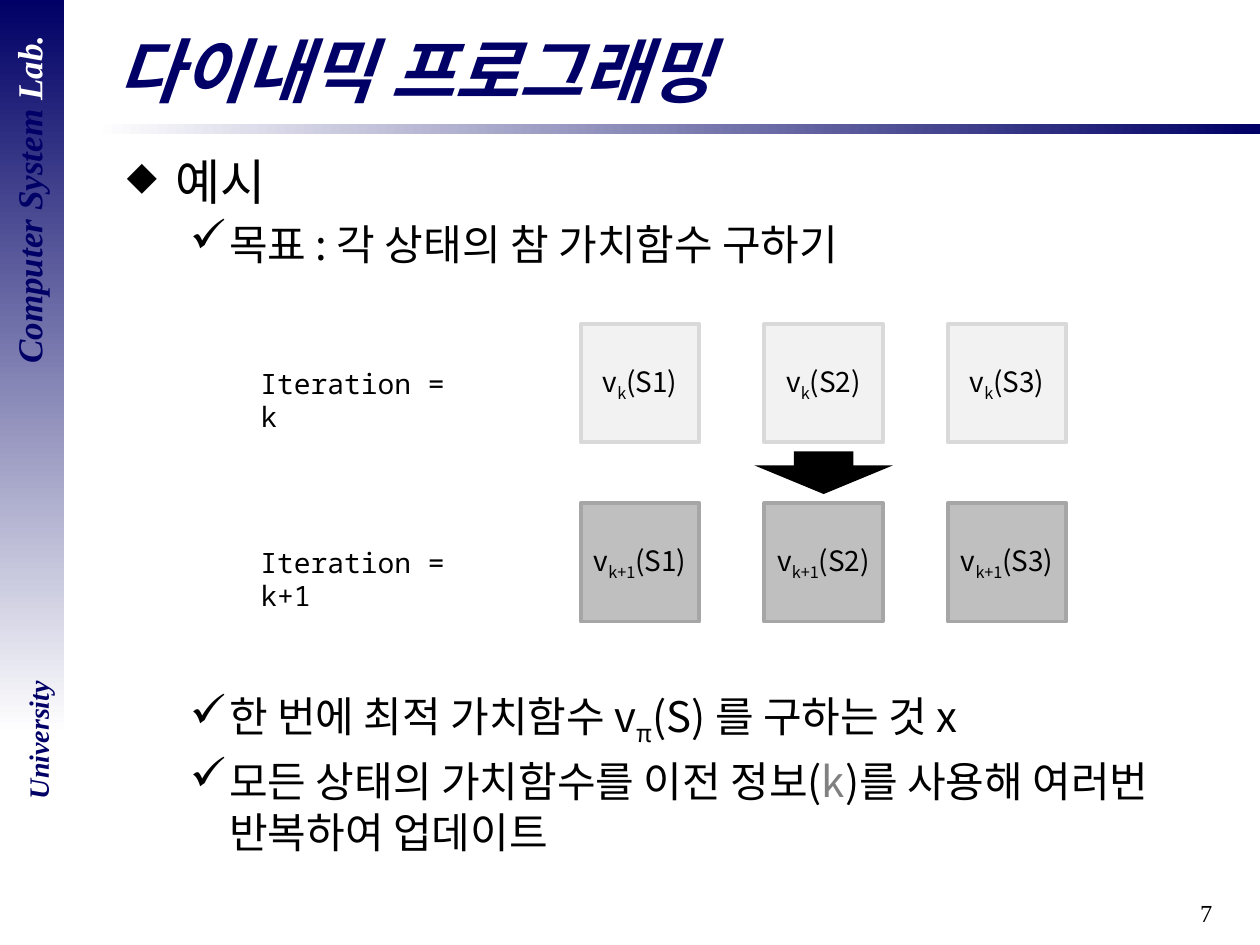
from dataclasses import dataclass

from lxml.etree import SubElement
from pptx import Presentation
from pptx.dml.color import RGBColor
from pptx.enum.shapes import MSO_SHAPE as Preset
from pptx.enum.text import MSO_ANCHOR as Anchor, PP_ALIGN as Align
from pptx.oxml.ns import qn
from pptx.util import Cm, Pt


@dataclass(frozen=True)
class Theme:
    navy: str = "000066"
    white: str = "FFFFFF"
    black: str = "000000"
    gray: str = "808080"
    current: tuple = ("F2F2F2", "D9D9D9")
    following: tuple = ("BFBFBF", "A6A6A6")
    korean: str = "Noto Sans CJK KR"
    mono: str = "Noto Sans Mono"
    serif: str = "Times New Roman"
    title: int = 40
    topic: int = 28
    point: int = 24
    lab: int = 20
    label: int = 16
    number: int = 14
    border: float = 2.25


@dataclass(frozen=True)
class Box:
    left: float
    top: float
    width: float
    height: float

    def inside(self, left, top, width, height):
        return Box(self.left + left, self.top + top, width, height)

    def lengths(self):
        return [Cm(side) for side in (self.left, self.top, self.width, self.height)]


THEME = Theme()
SUB = "sub"


def rgb(color):
    return RGBColor.from_string(color)


def style(paragraph, face, size, color=THEME.black, bold=False, italic=False):
    font = paragraph.font
    font.name, font.size = face, Pt(size)
    font.bold, font.italic = bold, italic
    font.color.rgb = rgb(color)
    SubElement(paragraph._p.pPr.find(qn("a:defRPr")), qn("a:ea"), typeface=face)


def write(paragraph, parts):
    for words, look in parts:
        run = paragraph.add_run()
        run.text = words
        if look == SUB:
            run._r.get_or_add_rPr().set("baseline", "-25000")
        elif look:
            run.font.color.rgb = rgb(look)


def add_text(slide, box, parts, face, size, color=THEME.black, align=Align.LEFT,
             anchor=Anchor.TOP, heavy=False, rotation=0):
    holder = slide.shapes.add_textbox(*box.lengths())
    holder.rotation = rotation
    frame = holder.text_frame
    frame.word_wrap = True
    frame.vertical_anchor = anchor
    paragraph = frame.paragraphs[0]
    paragraph.alignment = align
    style(paragraph, face, size, color, heavy, heavy)
    write(paragraph, parts)


def add_shape(slide, box, preset=Preset.RECTANGLE):
    shape = slide.shapes.add_shape(preset, *box.lengths())
    shape.shadow.inherit = False
    shape.line.fill.background()
    return shape


def add_gradient(slide, box, colors, angle):
    fill = add_shape(slide, box).fill
    fill.gradient()
    fill.gradient_angle = angle
    for stop, color in zip(fill.gradient_stops, colors):
        stop.color.rgb = rgb(color)


def add_sidebar(slide, box):
    add_gradient(slide, box.inside(0, 0, box.width, 14.81), (THEME.navy, THEME.white), 270)
    names = (
        (box.inside(-3.33, 3.48, 7.8, 1.09),
         [("Computer System ", None), ("Lab.", THEME.white)], THEME.lab),
        (box.inside(-1.04, 14.45, 3.61, 0.94), [("University", None)], THEME.label),
    )
    for place, parts, size in names:
        add_text(slide, place, parts, THEME.serif, size, THEME.navy,
                 Align.CENTER, heavy=True, rotation=270)


def add_header(slide, box, title):
    add_text(slide, box.inside(0.21, 0, 22.61, 1.96), [(title, None)], THEME.korean,
             THEME.title, THEME.navy, anchor=Anchor.MIDDLE, heavy=True)
    add_gradient(slide, box.inside(0, 2.08, box.width, 0.2), (THEME.white, THEME.navy), 0)


def add_bullets(slide, box, items):
    levels = (("◆", 80, 0.97, 0.97, THEME.topic), ("✓", 110, 2.06, 0.79, THEME.point))
    frame = slide.shapes.add_textbox(*box.lengths()).text_frame
    frame.word_wrap = True
    for index, (level, parts) in enumerate(items):
        mark, percent, margin, hanging, size = levels[level]
        paragraph = frame.add_paragraph() if index else frame.paragraphs[0]
        paragraph.level = level
        properties = paragraph._p.get_or_add_pPr()
        properties.set("marL", str(Cm(margin)))
        properties.set("indent", str(-Cm(hanging)))
        SubElement(properties, qn("a:buSzPct"), val=str(percent * 1000))
        SubElement(properties, qn("a:buChar"), char=mark)
        if index:
            paragraph.space_before = Pt(size * 0.2)
        style(paragraph, THEME.korean, size)
        write(paragraph, parts)


def add_state(slide, box, step, state, colors):
    square = add_shape(slide, box)
    fill, border = colors
    square.fill.solid()
    square.fill.fore_color.rgb = rgb(fill)
    square.line.color.rgb = rgb(border)
    square.line.width = Pt(THEME.border)
    frame = square.text_frame
    frame.word_wrap = False
    frame.vertical_anchor = Anchor.MIDDLE
    paragraph = frame.paragraphs[0]
    paragraph.alignment = Align.CENTER
    style(paragraph, THEME.korean, THEME.label)
    write(paragraph, [("v", None), (step, SUB), (f"({state})", None)])


def add_iterations(slide, box):
    states = ("S1", "S2", "S3")
    side = 2.39
    first = box.width - 2 * 3.7 - side
    row_pitch = box.height - side
    for row, (step, colors) in enumerate((("k", THEME.current), ("k+1", THEME.following))):
        top = row * row_pitch
        add_text(slide, box.inside(0, top + 0.73, 4.57, 0.94),
                 [(f"Iteration = {step}", None)], THEME.mono, THEME.label)
        for column, state in enumerate(states):
            place = box.inside(first + column * 3.7, top, side, side)
            add_state(slide, place, step, state, colors)
    width, height = 2.79, 0.86
    middle = first + 3.7 + side / 2
    arrow = add_shape(slide, box.inside(middle - width / 2, (box.height - height) / 2,
                                        width, height), Preset.DOWN_ARROW)
    arrow.adjustments[0], arrow.adjustments[1] = 0.43, 0.67
    arrow.fill.solid()
    arrow.fill.fore_color.rgb = rgb(THEME.black)


def main():
    deck = Presentation()
    deck.slide_width, deck.slide_height = Cm(25.4), Cm(19.05)
    slide = deck.slides.add_slide(deck.slide_layouts[6])
    add_sidebar(slide, Box(0, 0, 1.3, 19.05))
    add_header(slide, Box(1.9, 0.43, 23.5, 2.28), "다이내믹 프로그래밍")
    add_bullets(slide, Box(2.31, 2.92, 22.2, 2.8), [
        (0, [("예시", None)]),
        (1, [("목표 : 각 상태의 참 가치함수 구하기", None)]),
    ])
    add_iterations(slide, Box(5, 6.53, 16.5, 6))
    add_bullets(slide, Box(2.31, 13.79, 22.2, 3.8), [
        (1, [("한 번에 최적 가치함수 v", None), ("π", SUB), ("(S) 를 구하는 것 x", None)]),
        (1, [("모든 상태의 가치함수를 이전 정보(", None), ("k", THEME.gray),
             (")를 사용해 여러번 반복하여 업데이트", None)]),
    ])
    add_text(slide, Box(19.41, 17.98, 5.28, 1.07), [("7", None)], THEME.serif,
             THEME.number, align=Align.RIGHT)
    deck.save("out.pptx")


if __name__ == "__main__":
    main()
